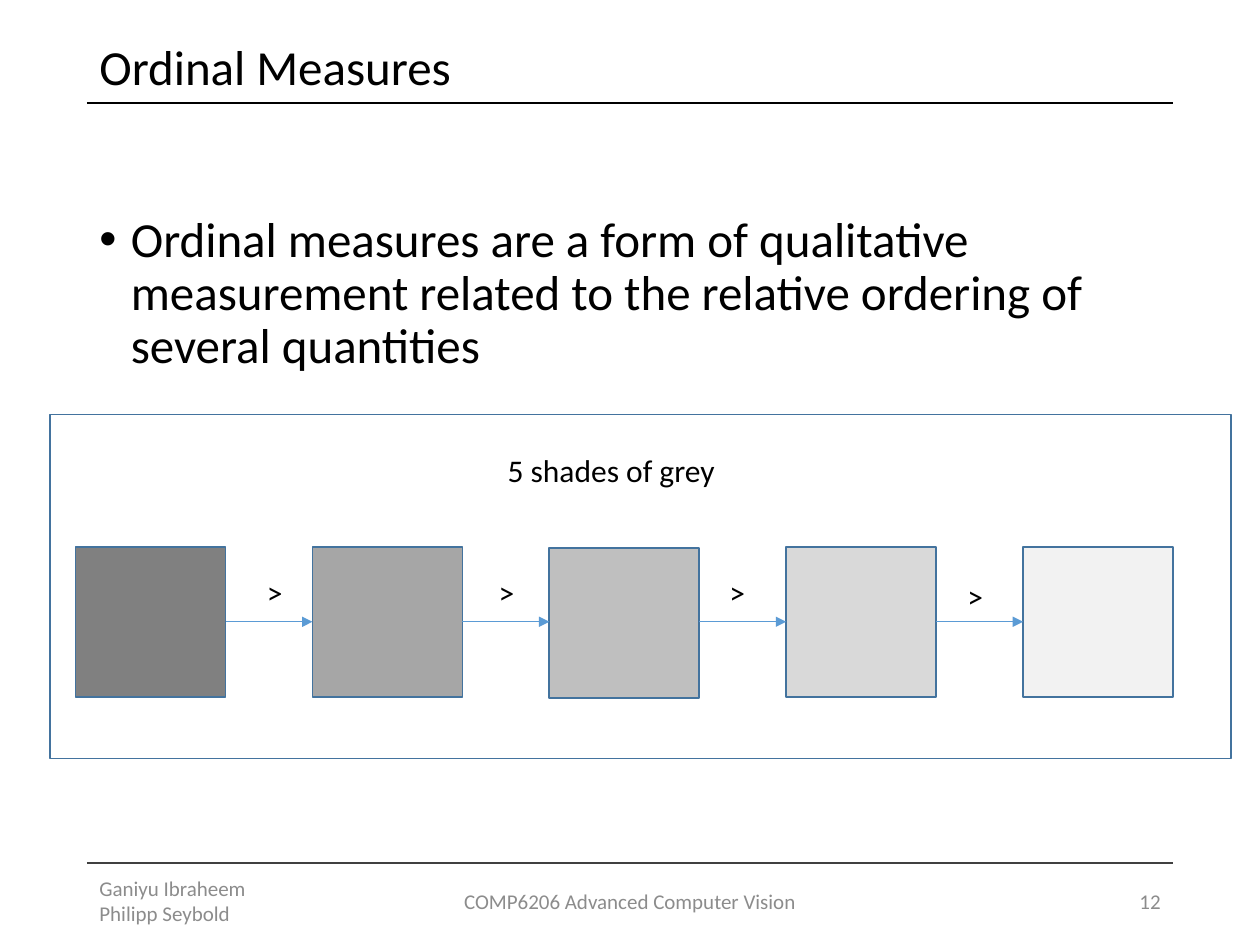
from dataclasses import dataclass

from lxml import etree
from pptx import Presentation
from pptx import util as u
from pptx.dml.color import RGBColor
from pptx.enum import shapes, text
from pptx.oxml.ns import qn

COLORS = {
    "ink": "000000", "footer": "8C8C8C", "rule": "404040", "paper": "FFFFFF",
    "outline": "43739E", "arrow": "5B9BD5",
}
FONT = "Calibri"
WIDTH, HEIGHT = 10, 7.5
MARGIN = 0.69
CONTENT_W = WIDTH - 2 * MARGIN

# Row of squares: one column per shade
SQUARE, PITCH = 1.19, 1.88
ROW_LEFT, ROW_TOP = 0.6, 4.34
ROW_MIDDLE = ROW_TOP + SQUARE / 2


@dataclass
class Shade:
    fill: str
    drop: float = 0  # offset below the row top


@dataclass
class Sign:
    left: float
    top: float = 4.5


SHADES = [Shade("808080"), Shade("A6A6A6"), Shade("BFBFBF", 0.01),
          Shade("D9D9D9"), Shade("F2F2F2")]
SIGNS = [Sign(2.02), Sign(3.86), Sign(5.69), Sign(7.58, 4.53)]


def rgb(value: str) -> RGBColor:
    return RGBColor.from_string(value)


def add_text(slide, words: str, left: float, top: float, width: float, height: float, *,
             size: float = 18, color: str = "ink", align=text.PP_ALIGN.LEFT,
             anchor=text.MSO_ANCHOR.TOP, spacing: float = 1.0, before: float = 0,
             after: float = 0, bullet: str = "", wrap: bool = True):
    box = slide.shapes.add_textbox(*map(u.Inches, (left, top, width, height)))
    tf = box.text_frame
    tf.word_wrap = wrap
    tf.vertical_anchor = anchor
    tf.text = words
    for p in tf.paragraphs:
        p.alignment = align
        p.line_spacing = spacing
        p.space_before, p.space_after = u.Pt(before), u.Pt(after)
        if bullet:
            pPr = p._p.get_or_add_pPr()
            pPr.set("marL", str(u.Inches(0.25)))
            pPr.set("indent", str(u.Inches(-0.25)))
            etree.SubElement(pPr, qn("a:buFont")).set("typeface", "Arial")
            etree.SubElement(pPr, qn("a:buChar")).set("char", bullet)
        for r in p.runs:
            r.font.name, r.font.size = FONT, u.Pt(size)
            r.font.color.rgb = rgb(COLORS[color])
    return box


def add_box(slide, left: float, top: float, width: float, height: float, fill: str):
    sp = slide.shapes.add_shape(shapes.MSO_SHAPE.RECTANGLE,
                                *map(u.Inches, (left, top, width, height)))
    sp.shadow.inherit = False
    sp.fill.solid()
    sp.fill.fore_color.rgb = rgb(fill)
    sp.line.color.rgb = rgb(COLORS["outline"])
    sp.line.width = u.Pt(1)
    return sp


def add_line(slide, left: float, right: float, y: float, color: str,
             weight: float = 1, arrow: bool = False):
    line = slide.shapes.add_connector(shapes.MSO_CONNECTOR.STRAIGHT,
                                      *map(u.Inches, (left, y, right, y)))
    line.line.color.rgb = rgb(COLORS[color])
    line.line.width = u.Pt(weight)
    if arrow:
        etree.SubElement(line.line._get_or_add_ln(), qn("a:tailEnd")).set("type", "triangle")
    etree.SubElement(line._element.spPr, qn("a:effectLst"))
    return line


def main() -> None:
    prs = Presentation()
    prs.slide_width, prs.slide_height = u.Inches(WIDTH), u.Inches(HEIGHT)
    s = prs.slides.add_slide(prs.slide_layouts[6])
    middle = text.MSO_ANCHOR.MIDDLE

    # Rules above the footer and below the title
    add_line(s, MARGIN, WIDTH - MARGIN, 6.85, "rule")
    add_line(s, MARGIN, WIDTH - MARGIN, 0.82, "ink")

    # Title and body
    add_text(s, "Ordinal Measures", MARGIN, 0.28, CONTENT_W, 0.54,
             size=28, anchor=middle, spacing=0.9)
    add_text(s, "Ordinal measures are a form of qualitative measurement related to "
                "the relative ordering of several quantities",
             MARGIN, 1.66, CONTENT_W, 4.82,
             size=28, spacing=0.9, before=10, after=6, bullet="•")

    # Footer
    footers = [
        ("Ganiyu Ibraheem\nPhilipp Seybold", MARGIN, 1.69, text.PP_ALIGN.LEFT),
        ("COMP6206 Advanced Computer Vision", 3.31, 3.38, text.PP_ALIGN.CENTER),
        ("12", 7.06, 2.25, text.PP_ALIGN.RIGHT),
    ]
    for words, left, width, align in footers:
        add_text(s, words, left, 6.95, width, 0.4, size=12, color="footer",
                 align=align, anchor=middle)

    # Panel with its caption
    add_box(s, 0.4, 3.29, 9.37, 2.73, COLORS["paper"])
    add_text(s, "5 shades of grey", 3.93, 3.53, 2.01, 0.4, wrap=False)

    # Squares, then the arrows and signs between them
    for i, shade in enumerate(SHADES):
        add_box(s, ROW_LEFT + i * PITCH, ROW_TOP + shade.drop, SQUARE, SQUARE, shade.fill)
    for i, sign in enumerate(SIGNS):
        left = ROW_LEFT + i * PITCH
        add_line(s, left + SQUARE, left + PITCH, ROW_MIDDLE, "arrow", 0.5, arrow=True)
        add_text(s, ">", sign.left, sign.top, 0.29, 0.4, wrap=False)

    prs.save("out.pptx")


if __name__ == "__main__":
    main()
